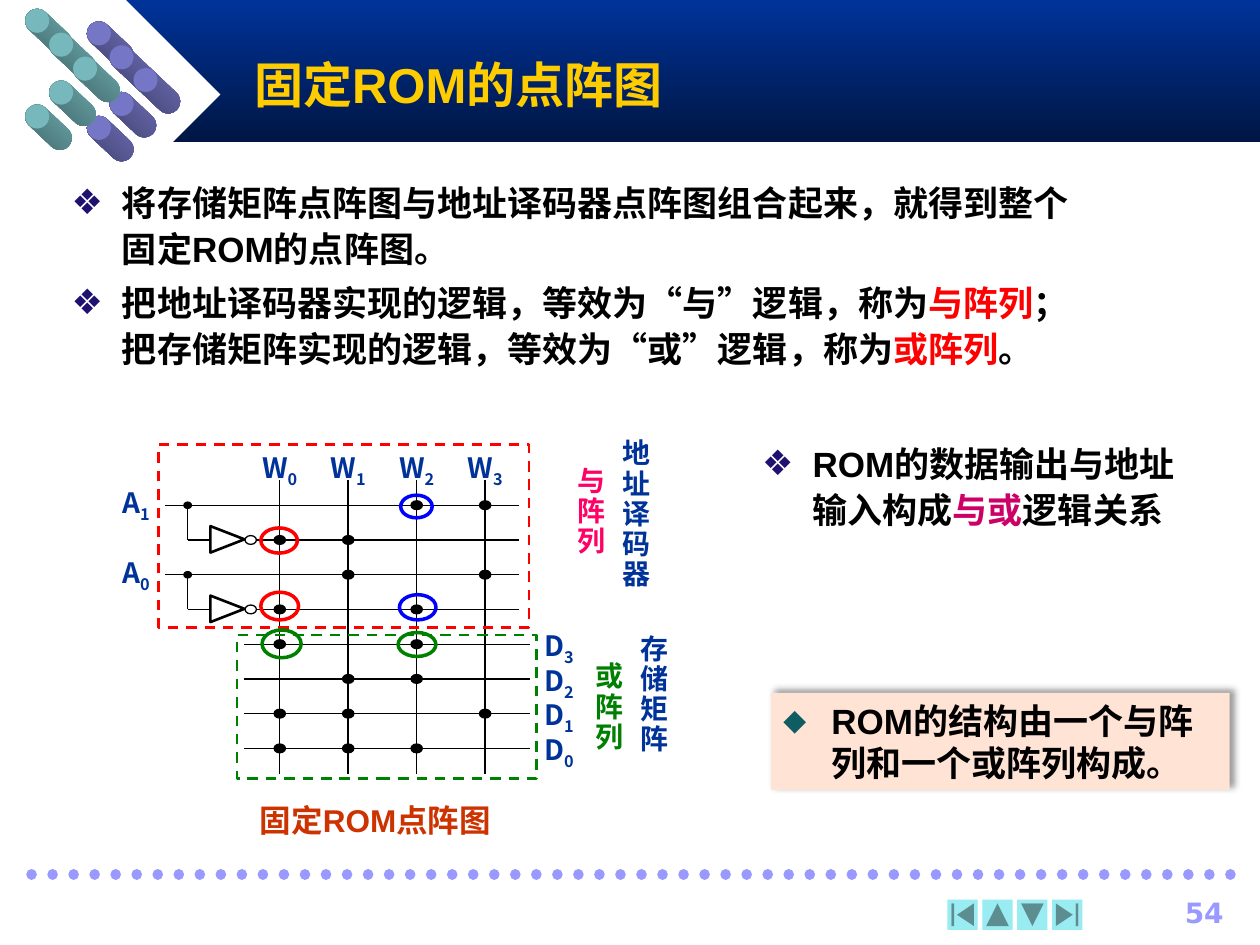
from math import atan2, degrees
from lxml.etree import SubElement
from pptx import Presentation
from pptx.dml.color import RGBColor
from pptx.enum.dml import MSO_LINE
from pptx.enum.shapes import MSO_CONNECTOR, MSO_SHAPE
from pptx.enum.text import MSO_ANCHOR, PP_ALIGN
from pptx.oxml.ns import qn
from pptx.util import Inches, Pt

BLACK = RGBColor(0, 0, 0)
WHITE = RGBColor(255, 255, 255)
NAVY = RGBColor(0x00, 0x33, 0x99)
DEEP = RGBColor(0x00, 0x16, 0x44)
GOLD = RGBColor(0xFF, 0xCC, 0x00)
RED = RGBColor(0xFF, 0, 0)
BLUE = RGBColor(0, 0, 0xFF)
GREEN = RGBColor(0, 0x80, 0)
PINK = RGBColor(0xFF, 0x00, 0x66)
PLUM = RGBColor(0xCC, 0x00, 0x66)
RUST = RGBColor(0xCC, 0x33, 0x00)
LILAC = RGBColor(0x99, 0x99, 0xFF)
AQUA = RGBColor(0x98, 0xEC, 0xF2)
PEACH = RGBColor(0xFF, 0xE3, 0xD5)
CJK = "Noto Sans CJK SC"

# Content: a paragraph is a list of (words, colour)
POINTS = [
    [("将存储矩阵点阵图与地址译码器点阵图组合起来，就得到整个固定ROM的点阵图。", BLACK)],
    [("把地址译码器实现的逻辑，等效为“与”逻辑，称为", BLACK), ("与阵列", RED),
     ("；把存储矩阵实现的逻辑，等效为“或”逻辑，称为", BLACK), ("或阵列", RED), ("。", BLACK)],
]
RELATE = [[("ROM的数据输出与地址输入构成", BLACK), ("与或", PLUM), ("逻辑关系", BLACK)]]
RESULT = [[("ROM的结构由一个与阵列和一个或阵列构成。", BLACK)]]
SIDES = [("与阵列", PINK, 4.47, 3.66, 0.83), ("地址译码器", NAVY, 4.83, 3.44, 1.31),
         ("或阵列", GREEN, 4.61, 5.21, 0.82), ("存储矩阵", NAVY, 4.97, 4.99, 1.07)]
DOTS = [(2, 3), (0, 1), (1, 3), (0, 2), (0, 2), (1, 2), (0, 1, 3), (0, 1, 2)]
FRAMES = [(RED, (1.26, 3.53, 2.94, 1.45)), (GREEN, (1.88, 5.04, 2.38, 1.14))]
RINGS = [(GREEN, (2.08, 5, 0.31, 0.22)), (GREEN, (3.16, 5.02, 0.3, 0.19)),
         (RED, (2.07, 4.19, 0.29, 0.2)), (RED, (2.07, 4.7, 0.3, 0.22)),
         (BLUE, (3.18, 3.93, 0.25, 0.18)), (BLUE, (3.17, 4.72, 0.29, 0.2))]
BUTTONS = [(MSO_SHAPE.ACTION_BUTTON_BEGINNING, 0), (MSO_SHAPE.ACTION_BUTTON_BACK_OR_PREVIOUS, 90),
           (MSO_SHAPE.ACTION_BUTTON_FORWARD_OR_NEXT, 90), (MSO_SHAPE.ACTION_BUTTON_END, 0)]
# Rods: face colour, light and dark body colours, face places
RODS = [
    (RGBColor(0x76, 0x76, 0xC6), RGBColor(0x70, 0x70, 0xBC), RGBColor(0x40, 0x40, 0x6C),
     [(0.69, 0.17), (0.87, 0.36), (1.06, 0.54), (0.87, 0.73), (0.69, 0.92)]),
    (RGBColor(0x76, 0xB8, 0xBC), RGBColor(0x70, 0xB0, 0xB4), RGBColor(0x3E, 0x62, 0x64),
     [(0.2, 0.07), (0.39, 0.26), (0.58, 0.45), (0.39, 0.64), (0.2, 0.83)]),
]

deck = Presentation()
deck.slide_width, deck.slide_height = Inches(10), Inches(7.5)
slide = deck.slides.add_slide(deck.slide_layouts[6])


def shape(kind, box, fill=None, line=None, width=0.75, dash=None, turn=0):
    item = slide.shapes.add_shape(kind, *map(Inches, box))
    item.shadow.inherit = False
    item.rotation = turn
    if fill is None:
        item.fill.background()
    elif isinstance(fill, tuple) and not isinstance(fill, RGBColor):
        item.fill.gradient()
        item.fill.gradient_angle = 270
        for stop, tone in zip(item.fill.gradient_stops, fill):
            stop.color.rgb = tone
    else:
        item.fill.solid()
        item.fill.fore_color.rgb = fill
    if line is None:
        item.line.fill.background()
    else:
        item.line.color.rgb = line
        item.line.width = Pt(width)
        if dash:
            item.line.dash_style = dash
    return item


def wire(x1, y1, x2, y2, color=BLACK, width=0.75):
    item = slide.shapes.add_connector(MSO_CONNECTOR.STRAIGHT, *map(Inches, (x1, y1, x2, y2)))
    item.line.color.rgb = color
    item.line.width = Pt(width)
    SubElement(item._element.spPr, qn("a:effectLst"))
    return item


def mark(para, char, color, indent, scale):
    props = para._p.get_or_add_pPr()
    props.set("marL", str(Inches(indent)))
    props.set("indent", str(-Inches(indent)))
    SubElement(SubElement(props, qn("a:buClr")), qn("a:srgbClr"), val=color)
    SubElement(props, qn("a:buSzPct"), val=str(scale * 1000))
    SubElement(props, qn("a:buFont"), typeface="DejaVu Sans")
    SubElement(props, qn("a:buChar"), char=char)


def text(box, paras, size=16, font=CJK, align=PP_ALIGN.LEFT, space=1.0,
         anchor=MSO_ANCHOR.TOP, bullet=None, sub=None, host=None):
    host = host or slide.shapes.add_textbox(*map(Inches, box))
    frame = host.text_frame
    frame.word_wrap = True
    frame.vertical_anchor = anchor
    for i, runs in enumerate(paras):
        para = frame.add_paragraph() if i else frame.paragraphs[0]
        if bullet:
            mark(para, *bullet)
        para.alignment = align
        para.line_spacing = space
        if i:
            para.space_before = Pt(4)
        for words, color in runs + ([(sub, runs[0][1])] if sub else []):
            run = para.add_run()
            run.text = words
            run.font.size, run.font.bold, run.font.name = Pt(size), True, font
            run.font.color.rgb = color
            props = run._r.get_or_add_rPr()
            SubElement(props, qn("a:ea"), typeface=CJK)
            if sub and words is sub:
                props.set("baseline", "-25000")


def label(box, words, color=NAVY, sub=None, size=16):
    text(box, [[(words, color)]], size=size, align=PP_ALIGN.CENTER, space=0.9, sub=sub)


def dot(x, y, wide=0.09, high=0.07, fill=BLACK):
    shape(MSO_SHAPE.OVAL, (x - wide / 2, y - high / 2, wide, high), fill, BLACK)


# Header band and rods
shape(MSO_SHAPE.RECTANGLE, (1, 0, 9, 1.13), (NAVY, DEEP))
shape(MSO_SHAPE.DIAMOND, (0.25, 0, 1.5, 1.5), WHITE)
FACE, RUN, DROP = 0.19, 0.18, 0.17
reach = (RUN ** 2 + DROP ** 2) ** 0.5 + FACE
for face, light, dark, spots in RODS:
    for x, y in spots:
        mid = x + (FACE + RUN) / 2, y + (FACE + DROP) / 2
        body = shape(MSO_SHAPE.ROUNDED_RECTANGLE, (mid[0] - reach / 2, mid[1] - FACE / 2, reach, FACE),
                     (light, dark), turn=degrees(atan2(DROP, RUN)))
        body.adjustments[0] = 0.5
        shape(MSO_SHAPE.OVAL, (x, y, FACE, FACE), face)
text((1.92, 0.33, 7.5, 0.67), [[("固定ROM的点阵图", GOLD)]], size=28, font="Arial",
     anchor=MSO_ANCHOR.MIDDLE)

# Footer
rule = wire(0.25, 6.94, 9.83, 6.94, LILAC, 6)
rule.line.dash_style = MSO_LINE.ROUND_DOT
rule._element.spPr.find(qn("a:ln")).set("cap", "rnd")
for i, (kind, turn) in enumerate(BUTTONS):
    shape(kind, (7.52 + i * 0.83 / 3, 7.14, 0.24, 0.24), AQUA, turn=turn)
text((8.86, 7.06, 0.95, 0.33), [[("54", LILAC)]], font="DejaVu Sans", align=PP_ALIGN.RIGHT)

# Grid of word lines (columns) and address or data lines (rows)
cols = [2.22 + i * 1.63 / 3 for i in range(4)]
rows = [4.01 + i * 1.93 / 7 for i in range(8)]
for i, x in enumerate(cols):
    wire(x, 3.81, x, 6.14)
    label((x - 0.32, 3.53, 0.64, 0.34), "W", sub=str(i))
for i, name in enumerate("10"):
    y, low = rows[2 * i], rows[2 * i + 1]
    wire(1.31, y, 4.12, y)
    wire(1.49, y, 1.49, low)
    wire(1.49, low, 1.67, low)
    shape(MSO_SHAPE.ISOSCELES_TRIANGLE, (1.7, low - 0.14, 0.21, 0.27), line=BLACK, width=1.5, turn=90)
    dot(1.99, low, fill=None)
    wire(2.03, low, 4.12, low)
    dot(1.49, y, 0.06, 0.05)
    label((0.76, y - 0.2, 0.64, 0.34), "A", sub=name)
for name, y in zip("3210", rows[4:]):
    wire(1.94, y, 4.21, y)
    label((4.16, y - 0.17, 0.55, 0.34), "D", sub=name)
for y, hits in zip(rows, DOTS):
    for i in hits:
        dot(cols[i], y)

# Caption and upright names
text((1.3, 6.34, 3.36, 0.37), [[("固定ROM点阵图", RUST)]], size=18, font="Arial",
     align=PP_ALIGN.CENTER, space=0.9)
for words, color, x, y, high in SIDES:
    label((x, y, 0.45, high), words, color)

# Points
star = ("❖", "1E116F", 0.4, 100)
text((0.47, 1.36, 8.3, 1.77), POINTS, size=20, font="Arial", space=1.1, bullet=star)
text((5.95, 3.43, 3.69, 0.83), RELATE, size=20, font="Arial", space=1.1, bullet=star)

# Result card with its shadow
card = shape(MSO_SHAPE.RECTANGLE, (6.12, 5.5, 3.64, 0.77), PEACH)
glow = SubElement(card._element.spPr.find(qn("a:effectLst")), qn("a:outerShdw"), blurRad=str(Pt(4)),
                  dist=str(Pt(3)), dir=str(315 * 60000), algn="ctr", rotWithShape="0")
shade = SubElement(glow, qn("a:srgbClr"), val="000000")
SubElement(shade, qn("a:alpha"), val="40000")
text(None, RESULT, size=20, font="Arial", bullet=("◆", "0F5C62", 0.38, 85), host=card)

# Dashed frames and rings
for color, box in FRAMES:
    shape(MSO_SHAPE.RECTANGLE, box, line=color, width=1.5, dash=MSO_LINE.DASH)
for color, box in RINGS:
    shape(MSO_SHAPE.OVAL, box, line=color, width=2)

deck.save("out.pptx")
